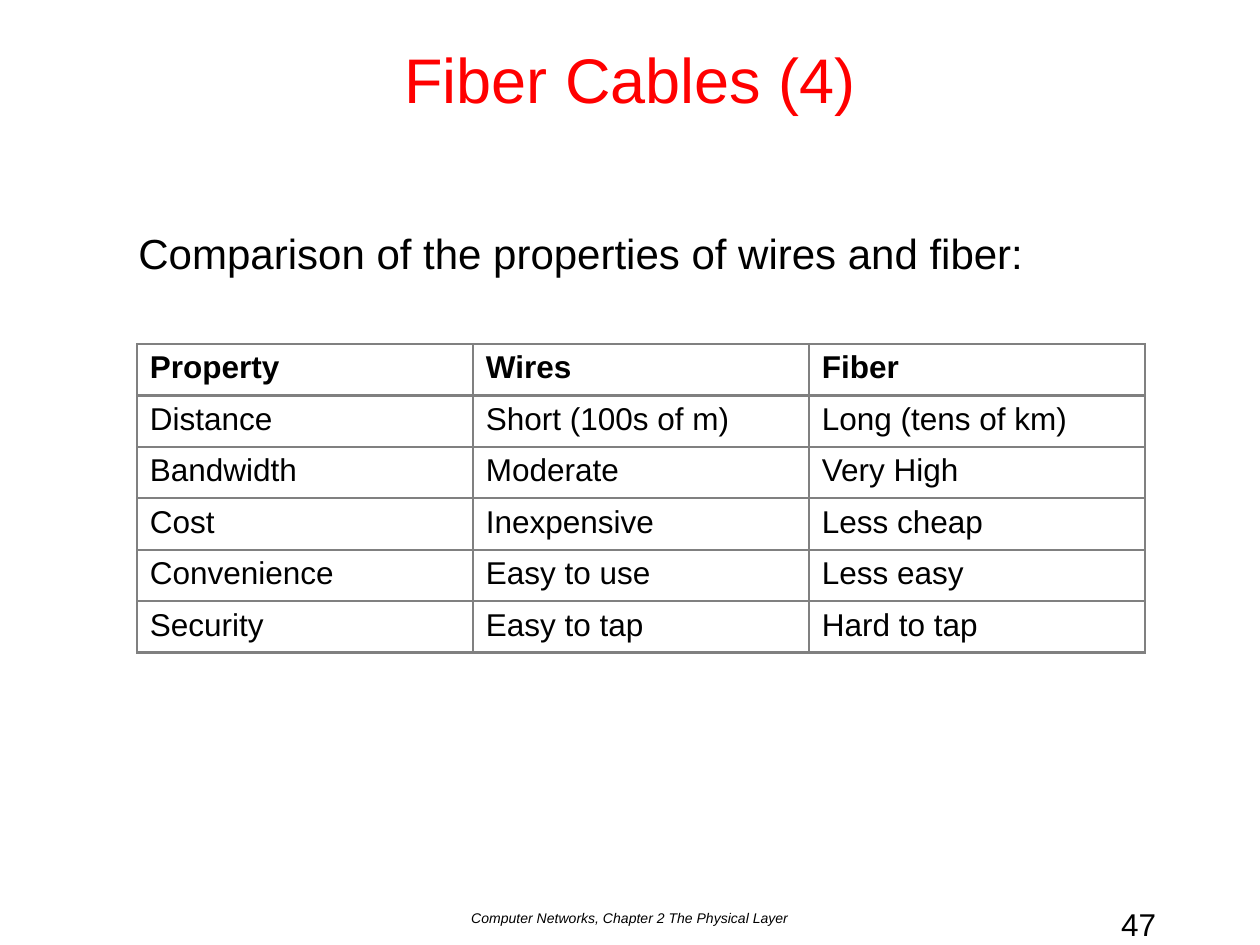
from lxml.etree import SubElement
from pptx import Presentation
from pptx.dml.color import RGBColor
from pptx.enum.text import MSO_ANCHOR, PP_ALIGN
from pptx.oxml.ns import qn
from pptx.util import Inches, Pt

WIDE, HIGH = Inches(10), Inches(7.5)
BLACK, RED, GRAY, WHITE = "000000", "FF0000", "808080", "FFFFFF"
ROWS = [
    ("Property", "Wires", "Fiber"),
    ("Distance", "Short (100s of m)", "Long (tens of km)"),
    ("Bandwidth", "Moderate", "Very High"),
    ("Cost", "Inexpensive", "Less cheap"),
    ("Convenience", "Easy to use", "Less easy"),
    ("Security", "Easy to tap", "Hard to tap"),
]


def hue(code):
    """Turn a hex string into a colour."""
    return RGBColor.from_string(code)


def place(left, top, width, height):
    """Turn inches into whole slide units."""
    return [Inches(n) for n in (left, top, width, height)]


def style(para, size, color=BLACK, **extra):
    """Set the font of a paragraph's runs."""
    form = {"name": "Arial", "size": Pt(size), **extra}
    for run in para.runs:
        for key, value in form.items():
            setattr(run.font, key, value)
        run.font.color.rgb = hue(color)


def label(slide, words, box, size, align=PP_ALIGN.LEFT,
          anchor=MSO_ANCHOR.TOP, **look):
    """Add a wrapped text box with one paragraph."""
    frame = slide.shapes.add_textbox(*place(*box)).text_frame
    form = {"word_wrap": True, "vertical_anchor": anchor, "text": words}
    for key, value in form.items():
        setattr(frame, key, value)
    para = frame.paragraphs[0]
    para.alignment = align
    style(para, size, **look)


def border(cell, color, width):
    """Draw a solid line on all four sides of a cell."""
    props = cell._tc.get_or_add_tcPr()
    for side in ("lnL", "lnR", "lnT", "lnB"):
        line = SubElement(props, qn(f"a:{side}"), w=str(Pt(width)))
        fill = SubElement(line, qn("a:solidFill"))
        SubElement(fill, qn("a:srgbClr"), val=color)


def grid(slide, rows, box):
    """Add a ruled table with equal rows and columns and a bold header."""
    shape = slide.shapes.add_table(len(rows), len(rows[0]), *place(*box))
    for i, row in enumerate(rows):
        for j, words in enumerate(row):
            cell = shape.table.cell(i, j)
            border(cell, GRAY, 1.5)
            cell.fill.solid()
            cell.fill.fore_color.rgb = hue(WHITE)
            cell.text = words
            style(cell.text_frame.paragraphs[0], 18, bold=i == 0)


def main():
    """Build and save the slide."""
    deck = Presentation()
    deck.slide_width, deck.slide_height = WIDE, HIGH
    slide = deck.slides.add_slide(deck.slide_layouts[6])
    label(slide, "47", (8.8, 7.13, 0.55, 0.4), 18)
    label(slide, "Comparison of the properties of wires and fiber:",
          (1, 1.76, 8.52, 5.03), 24)
    label(slide, "Fiber Cables (4)", (0, 0, 10, 1.25), 36,
          PP_ALIGN.CENTER, MSO_ANCHOR.MIDDLE, color=RED)
    label(slide, "Computer Networks, Chapter 2 The Physical Layer",
          (0, 7.17, 10, 0.33), 8, PP_ALIGN.CENTER, italic=True)
    grid(slide, ROWS, (1.09, 2.73, 8, 2.45))
    deck.save("out.pptx")


if __name__ == "__main__":
    main()
